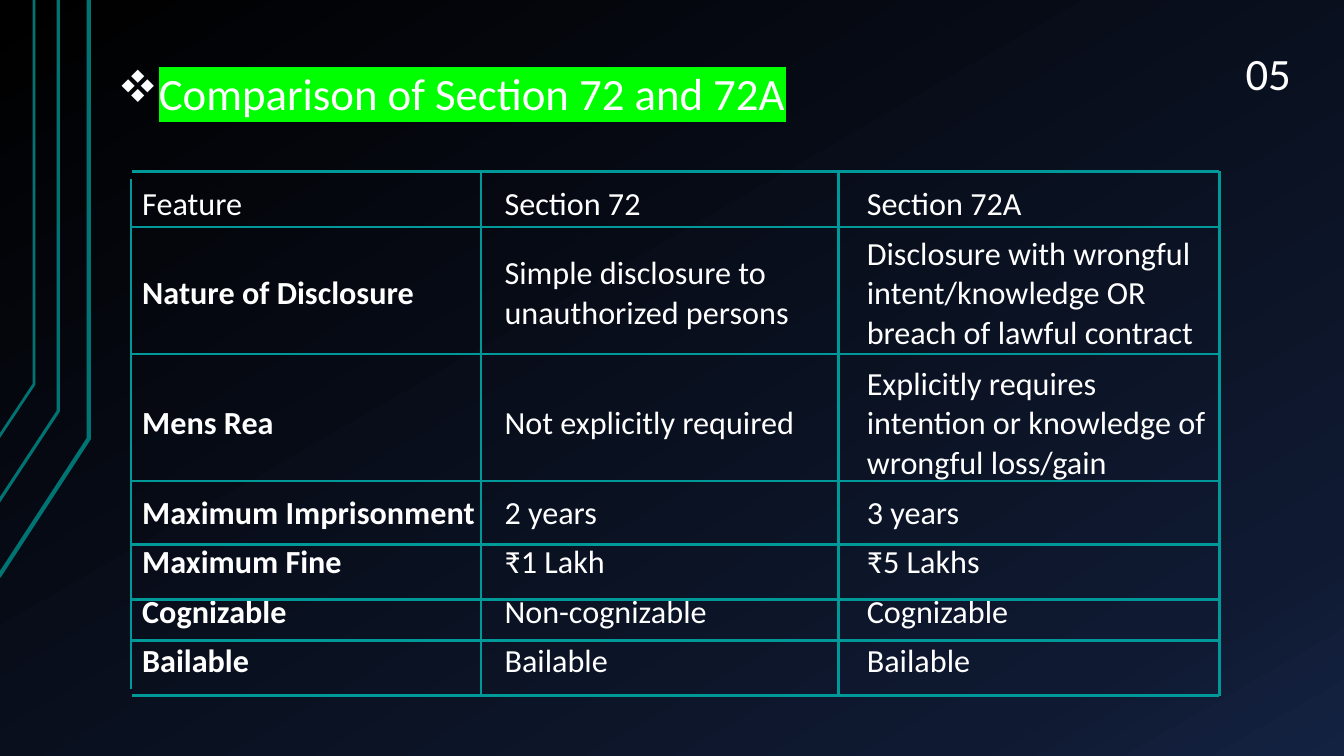
from copy import deepcopy
from lxml.etree import SubElement
from pptx import Presentation
from pptx.dml.color import RGBColor
from pptx.enum.shapes import MSO_CONNECTOR
from pptx.enum.text import MSO_ANCHOR
from pptx.oxml import parse_xml
from pptx.oxml.ns import nsdecls, qn
from pptx.util import Cm, Pt

TITLE = "Comparison of Section 72 and 72A"
NUMBER = "05"
ROWS = [
    ("Feature", "Section 72", "Section 72A"),
    ("Nature of Disclosure", "Simple disclosure to unauthorized persons",
     "Disclosure with wrongful intent/knowledge OR breach of lawful contract"),
    ("Mens Rea", "Not explicitly required",
     "Explicitly requires intention or knowledge of wrongful loss/gain"),
    ("Maximum Imprisonment", "2 years", "3 years"),
    ("Maximum Fine", "₹1 Lakh", "₹5 Lakhs"),
    ("Cognizable", "Non-cognizable", "Cognizable"),
    ("Bailable", "Bailable", "Bailable"),
]
STOPS = [(0, "000000"), (0.85, "0F1931"), (1, "142242")]
TRACKS = [
    ([(-0.03, 14.53), (2.24, 11.05), (2.24, 0)], 3),
    ([(-0.05, 12.67), (1.47, 10.36), (1.47, 0)], 2.25),
    ([(-0.03, 11.02), (0.86, 9.68), (0.86, 0)], 2),
]
LEFT, RIGHT, TOP, BASE = 3.33, 30.73, 4.32, 17.53
ACROSS = [TOP, 5.72, 8.92, 12.12, 13.72, 15.11, 16.13, BASE]
DOWN = [12.12, 21.13, RIGHT]
LINES = [(LEFT, y, RIGHT, y) for y in ACROSS]
LINES += [(x, TOP, x, BASE) for x in DOWN]
LINES += [(3.3, 4.52, 3.3, 17.35)]
COL, SHORT, TALL = 9.13, 1.24, 3.28
PLAIN = "{2D5ABB26-0587-4C30-8999-92F81FD0307C}"


def color(code):
    return RGBColor.from_string(code)


def style(para, size, bold=False):
    font = para.font
    font.name, font.size, font.bold = "Calibri", Pt(size), bold
    font.color.rgb = color("FFFFFF")


def label(text, x, y, wide):
    frame = shapes.add_textbox(Cm(x), Cm(y), Cm(wide), Cm(1.62)).text_frame
    frame.word_wrap = True
    para = frame.paragraphs[0]
    para.text = text
    style(para, 32)
    return para


deck = Presentation()
deck.slide_width, deck.slide_height = Cm(33.87), Cm(19.05)
slide = deck.slides.add_slide(deck.slide_layouts[6])
shapes = slide.shapes

fill = slide.background.fill
fill.gradient()
fill.gradient_angle = 300
stops = slide.element.find(".//" + qn("a:gsLst"))
stops.append(deepcopy(stops[-1]))
for stop, (place, code) in zip(fill.gradient_stops, STOPS):
    stop.position = place
    stop.color.rgb = color(code)

for points, width in TRACKS:
    spots = [(Cm(x), Cm(y)) for x, y in points]
    pen = shapes.build_freeform(*spots[0])
    pen.add_line_segments(spots[1:], close=False)
    track = pen.convert_to_shape()
    track.shadow.inherit = False
    track.fill.background()
    track.line.color.rgb = color("007373")
    track.line.width = Pt(width)

title = label(TITLE, 2.72, 1.52, 26.21)
props = title._p.get_or_add_pPr()
props.set("marL", str(Cm(0.95)))
props.set("indent", str(-Cm(0.95)))
props.insert(0, parse_xml(f'<a:buFont {nsdecls("a")} typeface="Wingdings"/>'))
props.insert(1, parse_xml(f'<a:buChar {nsdecls("a")} char="v"/>'))
mark = SubElement(title.runs[0]._r.get_or_add_rPr(), qn("a:highlight"))
SubElement(mark, qn("a:srgbClr")).set("val", "00FF00")

table = shapes.add_table(len(ROWS), 3, Cm(LEFT), Cm(4.52),
                         Cm(3 * COL), Cm(5 * SHORT + 2 * TALL)).table
table.first_row = table.horz_banding = False
table._tbl.tblPr.find(qn("a:tableStyleId")).text = PLAIN
for col in table.columns:
    col.width = Cm(COL)
for i, row in enumerate(ROWS):
    table.rows[i].height = Cm(TALL if i in (1, 2) else SHORT)
    for j, text in enumerate(row):
        cell = table.cell(i, j)
        cell.text = text
        cell.fill.background()
        cell.vertical_anchor = MSO_ANCHOR.MIDDLE
        style(cell.text_frame.paragraphs[0], 23, i > 0 and j == 0)

for ends in LINES:
    rule = shapes.add_connector(MSO_CONNECTOR.STRAIGHT, *map(Cm, ends))
    rule.line.color.rgb = color("009999")
    rule.line.width = Pt(2)
    SubElement(rule._element.spPr, qn("a:effectLst"))

label(NUMBER, 31.14, 1.04, 2.03)

deck.save("out.pptx")
